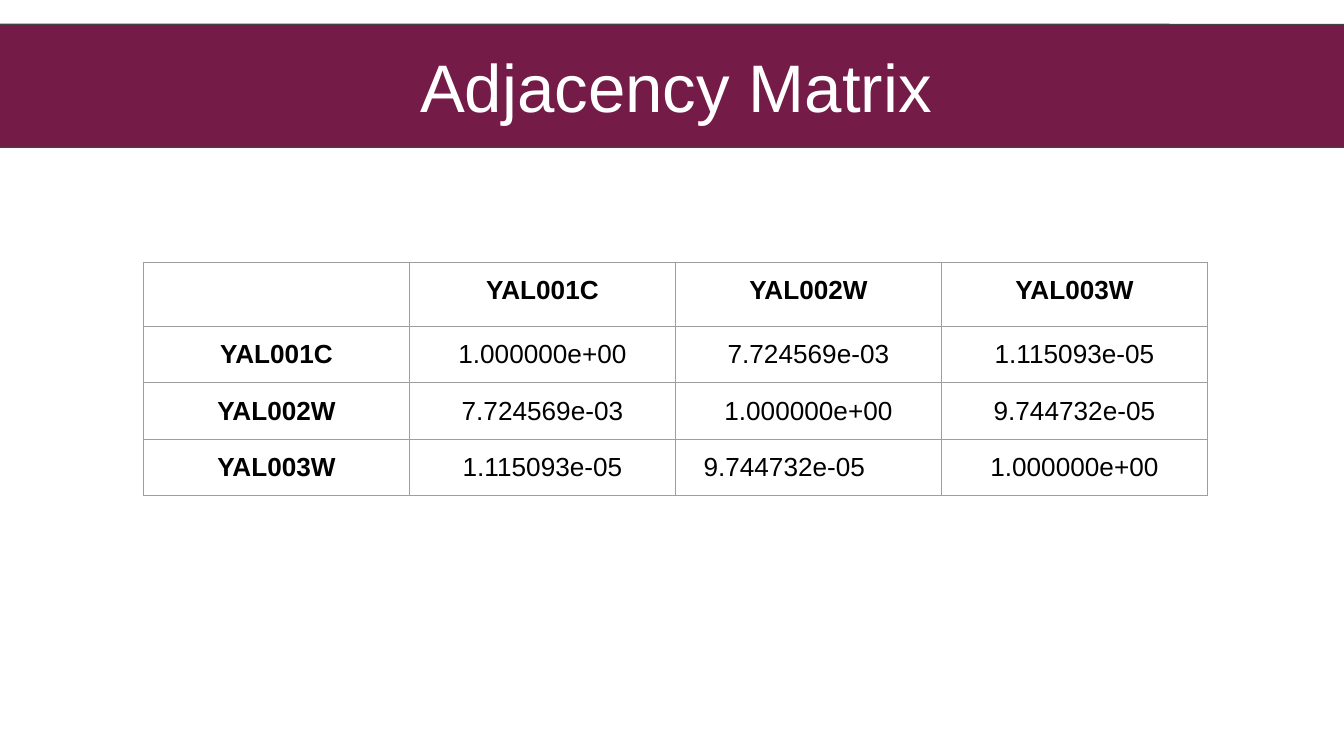
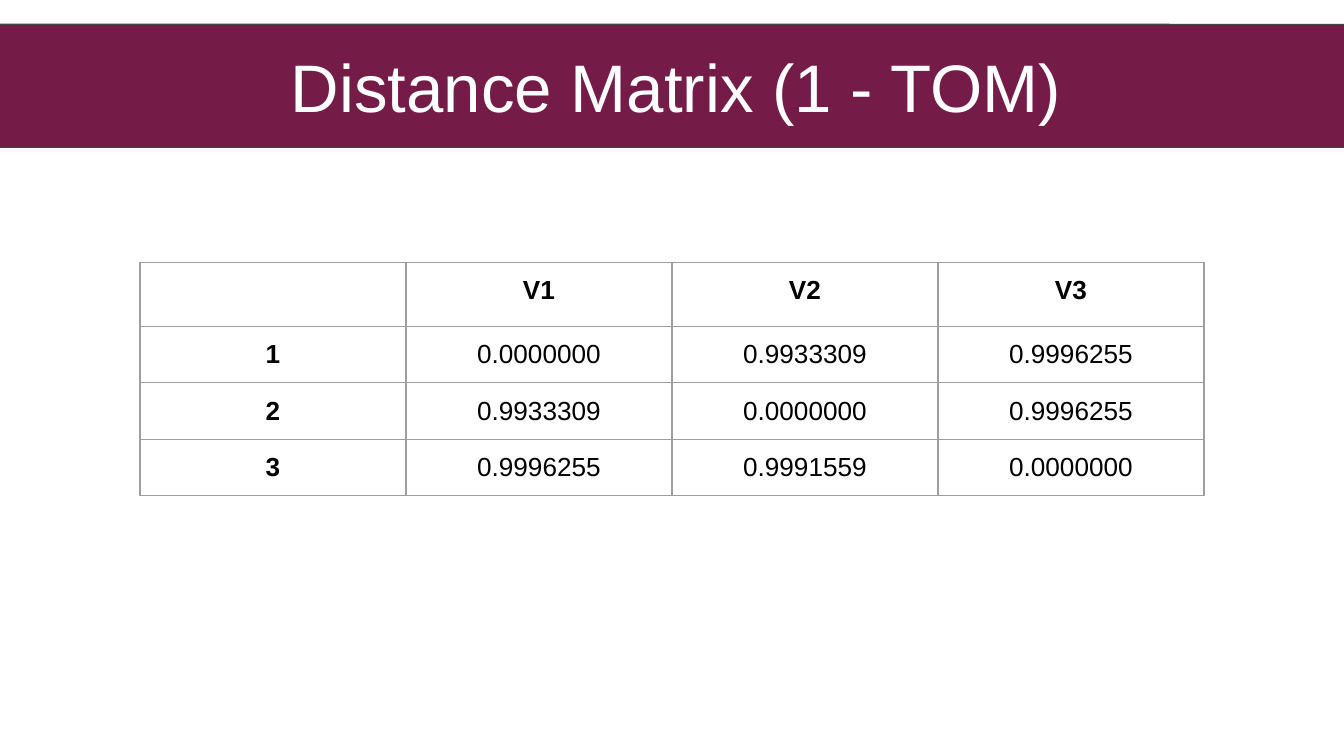
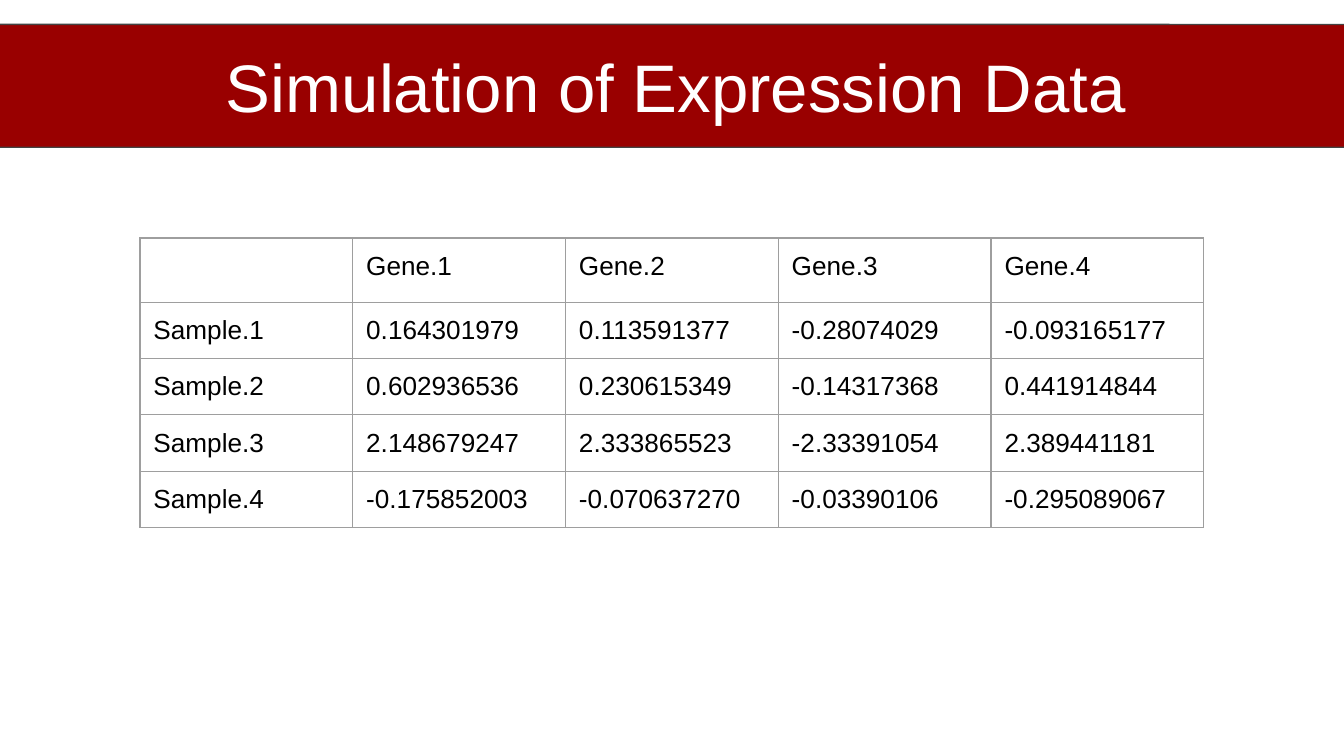
from lxml.etree import SubElement
from pptx import Presentation
from pptx.dml.color import RGBColor
from pptx.enum.shapes import MSO_SHAPE as Shape
from pptx.enum.text import MSO_ANCHOR as Anchor, PP_ALIGN as Align
from pptx.oxml.ns import qn
from pptx.util import Pt

# Content: one entry per slide
PLUM, RED = "741B47", "990000"

SLIDES = [
    {
        "title": "Adjacency Matrix", "band": PLUM, "left": 76.9, "top": 140.5,
        "bold_heads": True, "align": Align.CENTER,
        "indented": {(3, 2): 15},  # cell set left with its own margin
        "rows": [
            ["", "YAL001C", "YAL002W", "YAL003W"],
            ["YAL001C", "1.000000e+00", "7.724569e-03", "1.115093e-05"],
            ["YAL002W", "7.724569e-03", "1.000000e+00", "9.744732e-05"],
            ["YAL003W", "1.115093e-05", "9.744732e-05", "1.000000e+00"],
        ],
    },
    {
        "title": "Distance Matrix (1 - TOM)", "band": PLUM, "left": 75, "top": 140.5,
        "bold_heads": True, "align": Align.CENTER, "indented": {},
        "rows": [
            ["", "V1", "V2", "V3"],
            ["1", "0.0000000", "0.9933309", "0.9996255"],
            ["2", "0.9933309", "0.0000000", "0.9996255"],
            ["3", "0.9996255", "0.9991559", "0.0000000"],
        ],
    },
    {
        "title": "Simulation of Expression Data", "band": RED, "left": 75, "top": 127.5,
        "bold_heads": False, "align": Align.LEFT, "indented": {},
        "rows": [
            ["", "Gene.1", "Gene.2", "Gene.3", "Gene.4"],
            ["Sample.1", "0.164301979", "0.113591377", "-0.28074029", "-0.093165177"],
            ["Sample.2", "0.602936536", "0.230615349", "-0.14317368", "0.441914844"],
            ["Sample.3", "2.148679247", "2.333865523", "-2.33391054", "2.389441181"],
            ["Sample.4", "-0.175852003", "-0.070637270", "-0.03390106", "-0.295089067"],
        ],
    },
]

# Shared look, lengths in points
FONT = "Arial"
WHITE, BLACK, BAND_LINE, GRID = "FFFFFF", "000000", "434343", "9E9E9E"
LINE_WIDTH = 0.75
INSET = 7.2
TABLE_WIDTH, HEAD_HEIGHT, ROW_HEIGHT = 570, 34.4, 30.2


def color(value):
    return RGBColor.from_string(value)


def set_margins(target):
    for side in ("left", "top", "right", "bottom"):
        setattr(target, f"margin_{side}", Pt(INSET))


def style(para, size, ink, align, bold=False):
    para.alignment = align
    font = para.font
    font.name, font.size, font.bold = FONT, Pt(size), bold
    font.color.rgb = color(ink)


def add_solid(parent, value):
    fill = SubElement(parent, qn("a:solidFill"))
    return SubElement(fill, qn("a:srgbClr"), val=value)


def add_title_band(page, title, fill):
    band = page.shapes.add_shape(
        Shape.ROUNDED_RECTANGLE, Pt(-19.4), Pt(13.1), Pt(763.2), Pt(65.8))
    band.fill.solid()
    band.fill.fore_color.rgb = color(fill)
    band.line.color.rgb = color(BAND_LINE)
    band.line.width = Pt(LINE_WIDTH)

    # Soft shadow straight below
    band.shadow.inherit = False
    effects = band.element.spPr.find(qn("a:effectLst"))
    shadow = SubElement(effects, qn("a:outerShdw"), blurRad=str(Pt(4.5)),
                        dist=str(Pt(1.5)), dir="5400000", algn="bl", rotWithShape="0")
    SubElement(add_solid(shadow, BLACK), qn("a:alpha"), val="50000")

    frame = band.text_frame
    frame.word_wrap = True
    frame.vertical_anchor = Anchor.MIDDLE
    set_margins(frame)
    frame.text = title
    style(frame.paragraphs[0], 36, WHITE, Align.CENTER)


def add_borders(cell):
    props = cell._tc.get_or_add_tcPr()
    for side in ("lnL", "lnR", "lnT", "lnB"):
        add_solid(SubElement(props, qn(f"a:{side}"), w=str(Pt(LINE_WIDTH))), GRID)


def add_matrix(page, content):
    rows = content["rows"]
    height = HEAD_HEIGHT + ROW_HEIGHT * (len(rows) - 1)
    table = page.shapes.add_table(
        len(rows), len(rows[0]), Pt(content["left"]), Pt(content["top"]),
        Pt(TABLE_WIDTH), Pt(height)).table
    table.first_row = table.horz_banding = False
    for column in table.columns:
        column.width = Pt(TABLE_WIDTH / len(rows[0]))

    for r, values in enumerate(rows):
        table.rows[r].height = Pt(ROW_HEIGHT if r else HEAD_HEIGHT)
        for c, value in enumerate(values):
            cell = table.cell(r, c)
            set_margins(cell)
            add_borders(cell)
            cell.fill.background()
            cell.text = value
            align = content["align"]
            if (r, c) in content["indented"]:
                align = Align.LEFT
                cell.margin_left = Pt(content["indented"][r, c])
            is_head = r == 0 or c == 0
            style(cell.text_frame.paragraphs[0], 14, BLACK, align,
                  content["bold_heads"] and is_head)


def main():
    deck = Presentation()
    deck.slide_width, deck.slide_height = Pt(720), Pt(405)
    for content in SLIDES:
        page = deck.slides.add_slide(deck.slide_layouts[6])
        add_title_band(page, content["title"], content["band"])
        add_matrix(page, content)
    deck.save("out.pptx")


if __name__ == "__main__":
    main()
